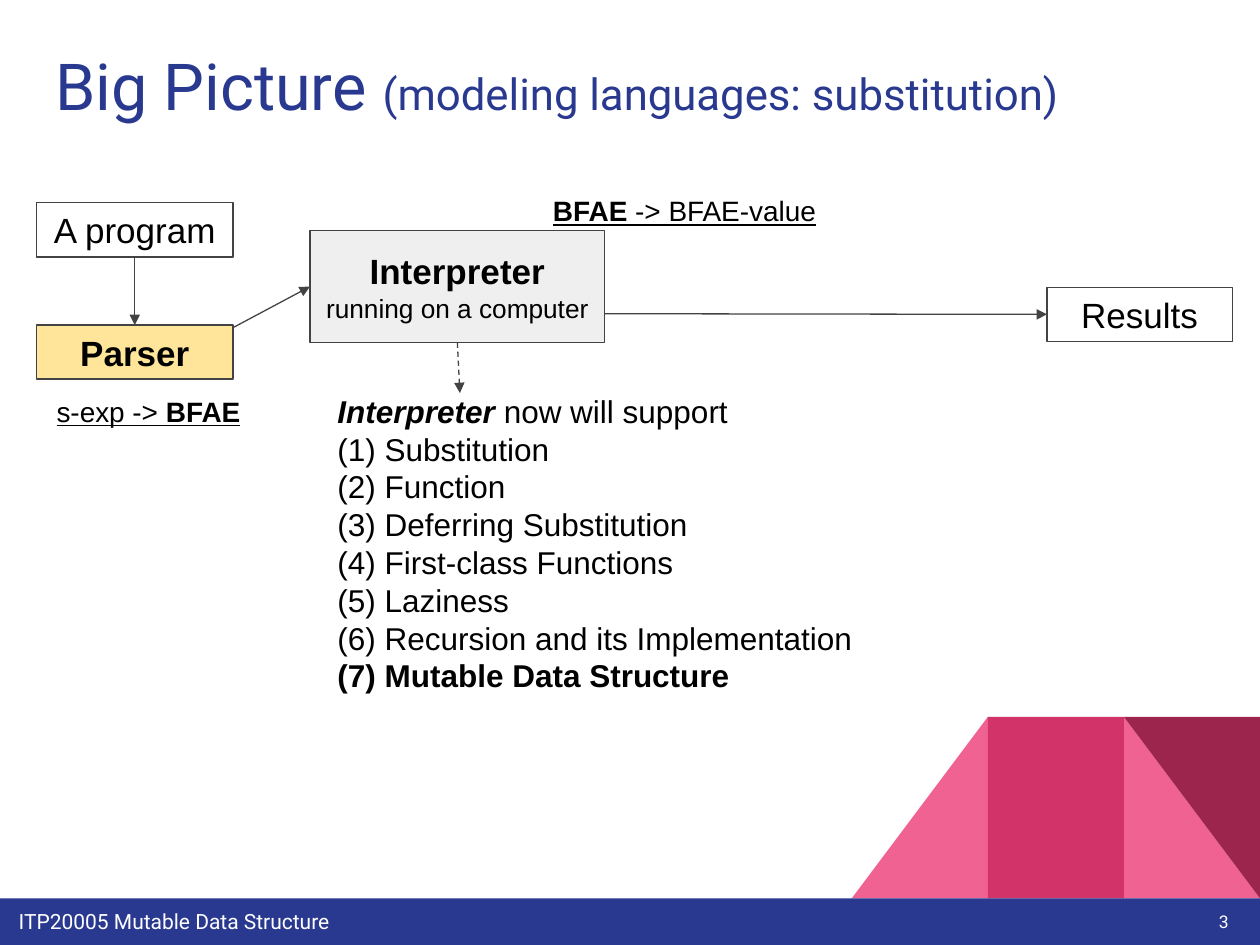
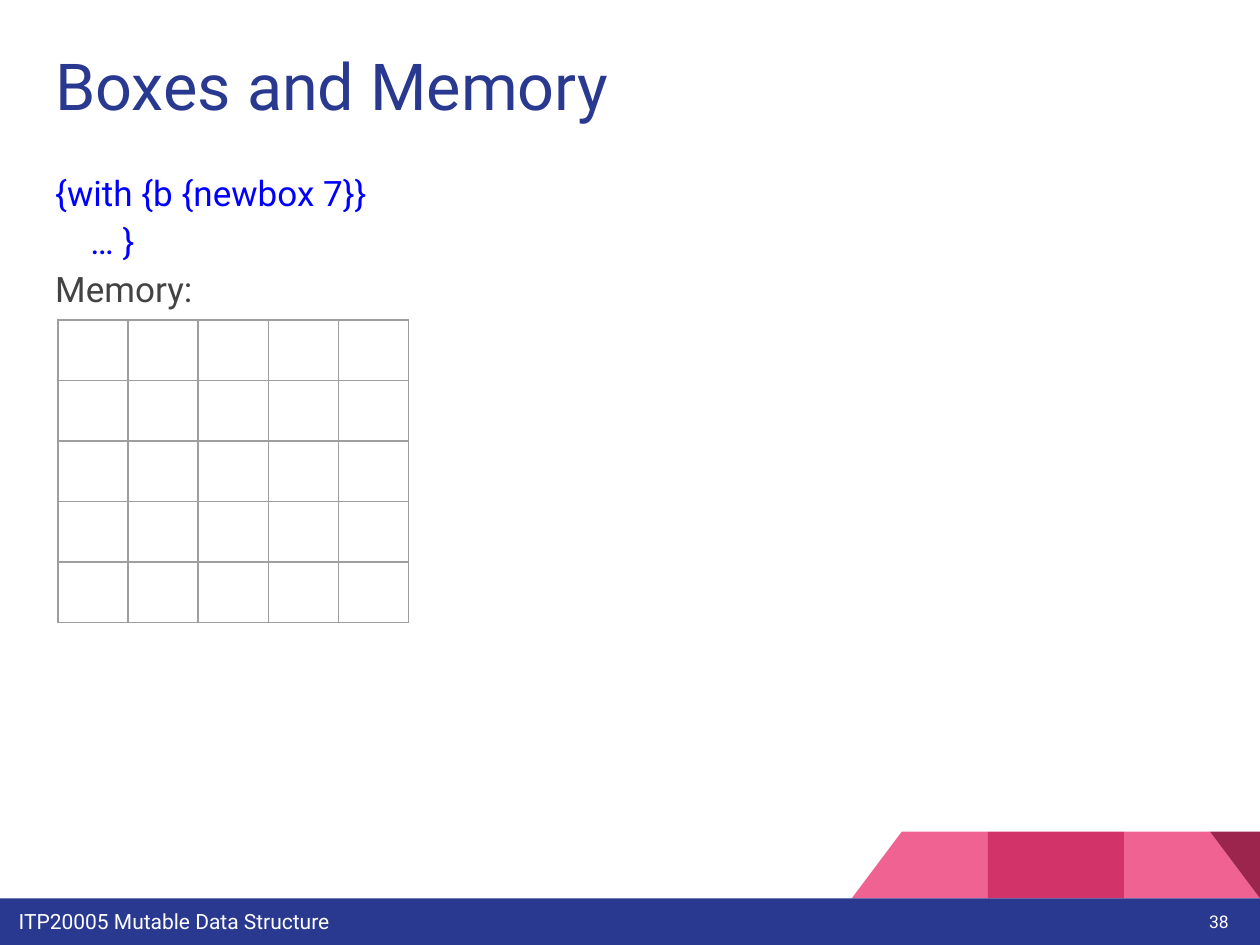
from lxml.etree import SubElement
from pptx import Presentation
from pptx.dml.color import RGBColor
from pptx.enum.dml import MSO_LINE
from pptx.enum.shapes import MSO_CONNECTOR, MSO_SHAPE
from pptx.enum.text import MSO_ANCHOR, MSO_AUTO_SIZE, PP_ALIGN
from pptx.oxml.ns import qn
from pptx.util import Inches, Pt

WIDTH, HEIGHT = Inches(10), Inches(7.5)
COLUMNS, ROWS = 100, 75
TITLE_ONLY = 5

NAVY = RGBColor(0x2A, 0x39, 0x90)
PINK = RGBColor(0xF0, 0x62, 0x92)
CRIMSON = RGBColor(0xD2, 0x33, 0x69)
MAROON = RGBColor(0x9C, 0x25, 0x4D)
WHITE = RGBColor(0xFF, 0xFF, 0xFF)
BLACK = RGBColor(0, 0, 0)
BLUE = RGBColor(0, 0, 0xFF)
DARK_GRAY = RGBColor(0x43, 0x43, 0x43)
BORDER_GRAY = RGBColor(0x9E, 0x9E, 0x9E)
LIGHT_GRAY = RGBColor(0xEF, 0xEF, 0xEF)
YELLOW = RGBColor(0xFF, 0xE5, 0x99)


def across(columns):
    """Turn grid columns into a length."""
    return round(WIDTH * columns / COLUMNS)


def down(rows):
    """Turn grid rows into a length."""
    return round(HEIGHT * rows / ROWS)


def place(left, top, width, height):
    """Turn a grid area into left, top, width and height."""
    return across(left), down(top), across(width), down(height)


def write(shape, paragraphs, size=20, font="Arial", color=BLACK, align=PP_ALIGN.LEFT,
          anchor=MSO_ANCHOR.TOP, spacing=None, **style):
    """Write paragraphs, each a list of (text, font overrides) runs, into a shape."""
    frame = shape.text_frame
    frame.word_wrap = True
    frame.auto_size = MSO_AUTO_SIZE.NONE
    frame.vertical_anchor = anchor
    frame.margin_left = frame.margin_right = across(1)
    frame.margin_top = frame.margin_bottom = down(1)
    for index, runs in enumerate(paragraphs):
        paragraph = frame.add_paragraph() if index else frame.paragraphs[0]
        paragraph.alignment = align
        if spacing:
            paragraph.line_spacing = spacing
        for text, overrides in runs:
            run = paragraph.add_run()
            run.text = text
            run.font.name = font
            settings = {"size": size, "color": color, **style, **overrides}
            run.font.size = Pt(settings.pop("size"))
            run.font.color.rgb = settings.pop("color")
            for name, value in settings.items():
                setattr(run.font, name, value)
    return shape


def add_text(slide, area, paragraphs, **style):
    """Add a text box."""
    return write(slide.shapes.add_textbox(*place(*area)), paragraphs, **style)


def add_block(slide, area, fill=None, line=None, kind=MSO_SHAPE.RECTANGLE):
    """Add a flat preset shape."""
    shape = slide.shapes.add_shape(kind, *place(*area))
    shape.shadow.inherit = False
    if fill is None:
        shape.fill.background()
    else:
        shape.fill.solid()
        shape.fill.fore_color.rgb = fill
    if line is None:
        shape.line.fill.background()
    else:
        shape.line.color.rgb = line
        shape.line.width = Pt(0.75)
    return shape


def add_stage(slide, area, paragraphs, fill=None):
    """Add an outlined box for one stage of the pipeline."""
    box = add_block(slide, area, fill, DARK_GRAY)
    return write(box, paragraphs, align=PP_ALIGN.CENTER, anchor=MSO_ANCHOR.MIDDLE)


def add_arrow(slide, start=(0, 0), end=(0, 0), begin_at=None, end_at=None, dashed=False):
    """Add an arrow between grid points or (shape, side) joints."""
    arrow = slide.shapes.add_connector(
        MSO_CONNECTOR.STRAIGHT, across(start[0]), down(start[1]), across(end[0]), down(end[1]))
    if begin_at:
        arrow.begin_connect(*begin_at)
    if end_at:
        arrow.end_connect(*end_at)
    arrow.line.color.rgb = DARK_GRAY
    arrow.line.width = Pt(0.75)
    if dashed:
        arrow.line.dash_style = MSO_LINE.DASH
    properties = arrow.element.spPr
    SubElement(properties.find(qn("a:ln")), qn("a:tailEnd"), type="triangle")
    SubElement(properties, qn("a:effectLst"))
    return arrow


def add_memory_table(slide, area, size):
    """Add an empty square table with thin gray borders."""
    table = slide.shapes.add_table(size, size, *place(*area)).table
    table.first_row = table.horz_banding = False
    for cell in table.iter_cells():
        cell.fill.solid()
        cell.fill.fore_color.rgb = WHITE
        properties = cell._tc.get_or_add_tcPr()
        for index, side in enumerate(("a:lnL", "a:lnR", "a:lnT", "a:lnB")):
            line = SubElement(properties, qn(side), w=str(Pt(0.75)))
            SubElement(SubElement(line, qn("a:solidFill")), qn("a:srgbClr"), val=str(BORDER_GRAY))
            properties.insert(index, line)


def add_decoration(slide, left=67.6, top=56.9, width=10.8, height=14.4):
    """Add the pink trapezoid above the footer."""
    middle, right = left + width, left + 2 * width
    triangle = MSO_SHAPE.RIGHT_TRIANGLE
    add_block(slide, (right, top, width, height), PINK, kind=triangle)
    mirrored = add_block(slide, (left, top, width, height), PINK, kind=triangle)
    mirrored.element.spPr.find(qn("a:xfrm")).set("flipH", "1")
    add_block(slide, (middle, top, width, height), CRIMSON)
    add_block(slide, (right, top, width, height), MAROON, kind=triangle).rotation = 180


def add_page(presentation, title, number):
    """Add a slide with its title, decoration and footer."""
    slide = presentation.slides.add_slide(presentation.slide_layouts[TITLE_ONLY])
    heading = slide.shapes.title
    heading.left, heading.top, heading.width, heading.height = place(3.4, 2.6, 93.2, 8.9)
    write(heading, [title], size=37, font="Roboto", color=NAVY)
    add_decoration(slide)
    add_block(slide, (0, 71.3, 100, 3.7), NAVY)
    add_text(slide, (0.5, 71.1, 73.5, 3.6), [[("ITP20005 Mutable Data Structure", {})]],
             size=12, font="Roboto", color=WHITE)
    add_text(slide, (92.5, 70.3, 6, 5.7), [[(str(number), {})]], size=10, font="Roboto",
             color=WHITE, align=PP_ALIGN.RIGHT, anchor=MSO_ANCHOR.MIDDLE)
    return slide


def add_big_picture(presentation):
    """Build the slide on the parser and interpreter pipeline."""
    bold = {"bold": True}
    slide = add_page(presentation, [
        ("Big Picture ", {}), ("(modeling languages: substitution)", {"size": 25})], 3)
    interpreter = add_stage(slide, (24.6, 18.3, 23.4, 8.9), [
        [("Interpreter", bold)], [("running on a computer", {"size": 15})]], LIGHT_GRAY)
    program = add_stage(slide, (2.9, 16.1, 15.6, 4.3), [[("A program", {})]])
    results = add_stage(slide, (83.1, 22.8, 14.7, 4.3), [[("Results", {})]])
    parser = add_stage(slide, (2.9, 25.8, 15.6, 4.3), [[("Parser", bold)]], YELLOW)
    add_arrow(slide, start=(18.5, 26), end_at=(interpreter, 1))
    add_arrow(slide, begin_at=(program, 2), end_at=(parser, 0))
    add_arrow(slide, start=(48, 24.9), end_at=(results, 1))
    add_arrow(slide, end=(36.5, 31.2), begin_at=(interpreter, 2), dashed=True)
    add_text(slide, (3.5, 30.3, 21.1, 4), [[("s-exp -> ", {}), ("BFAE", bold)]],
             size=16, underline=True)
    add_text(slide, (42.9, 14.4, 28.5, 3.3), [[("BFAE", bold), (" -> BFAE-value", {})]],
             size=16, underline=True)
    features = ["Substitution", "Function", "Deferring Substitution", "First-class Functions",
                "Laziness", "Recursion and its Implementation", "Mutable Data Structure"]
    lines = [[(f"({number}) {feature}", {"bold": number == len(features)})]
             for number, feature in enumerate(features, 1)]
    opening = [("Interpreter ", {"bold": True, "italic": True}), ("now will support", {})]
    add_text(slide, (25.8, 30.1, 65.2, 31.6), [opening, *lines], size=18)


def add_boxes_and_memory(presentation):
    """Build the slide on memory as a grid of cells."""
    slide = add_page(presentation, [("Boxes and Memory", {})], 38)
    body = add_block(slide, (3.4, 12.1, 96.6, 53.9), WHITE)
    write(body, [[("{with {b {newbox 7}}", {})], [("… }", {})],
                 [("Memory:", {"color": DARK_GRAY})]],
          font="Roboto", color=BLUE, spacing=1.15)
    indented = body.text_frame.paragraphs[1]
    indented._p.get_or_add_pPr().set("marL", str(across(2.8)))
    add_memory_table(slide, (4.6, 25.4, 27.8, 24), 5)


def main():
    """Build and save the presentation."""
    presentation = Presentation()
    presentation.slide_width, presentation.slide_height = WIDTH, HEIGHT
    add_big_picture(presentation)
    add_boxes_and_memory(presentation)
    presentation.save("out.pptx")


if __name__ == "__main__":
    main()
